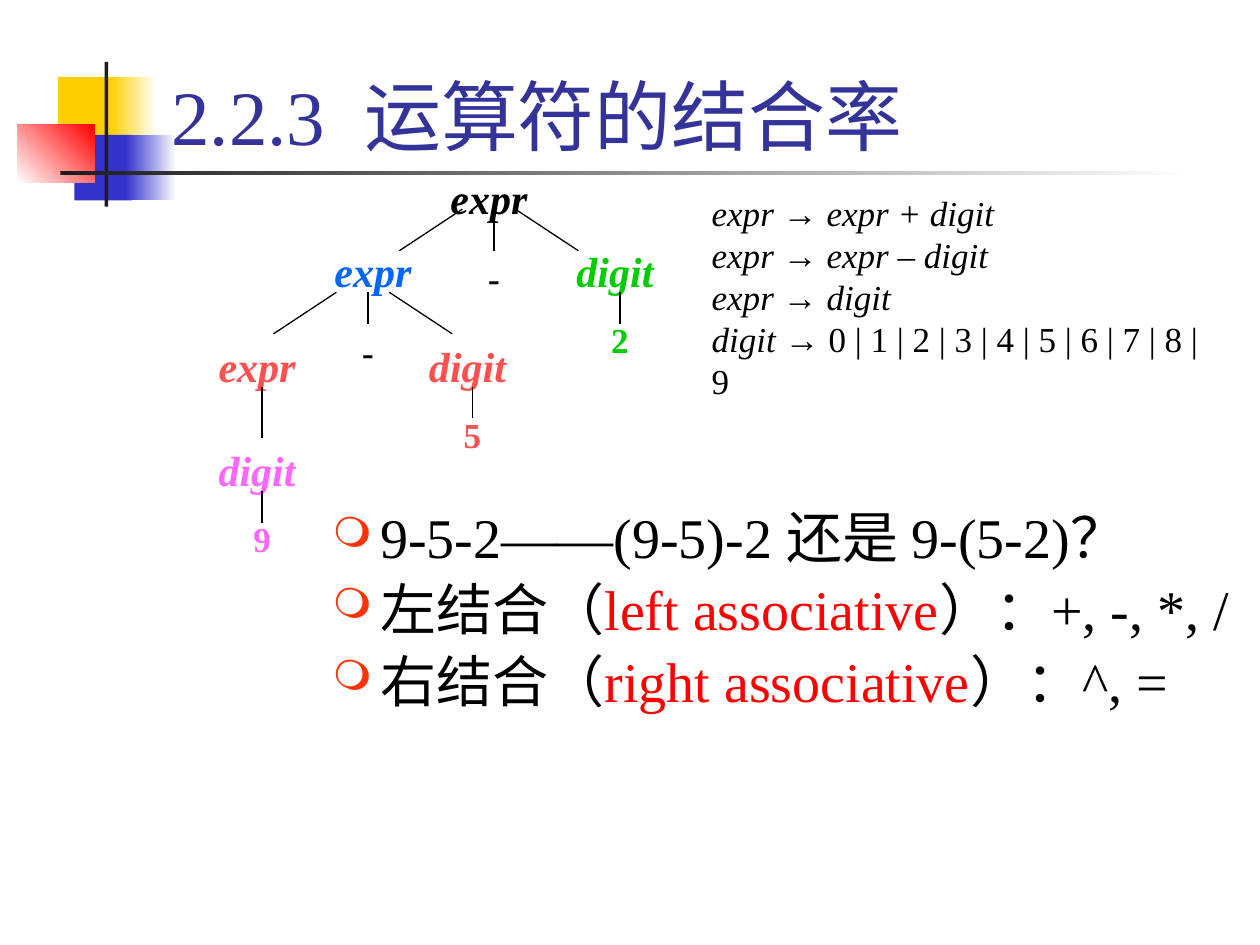
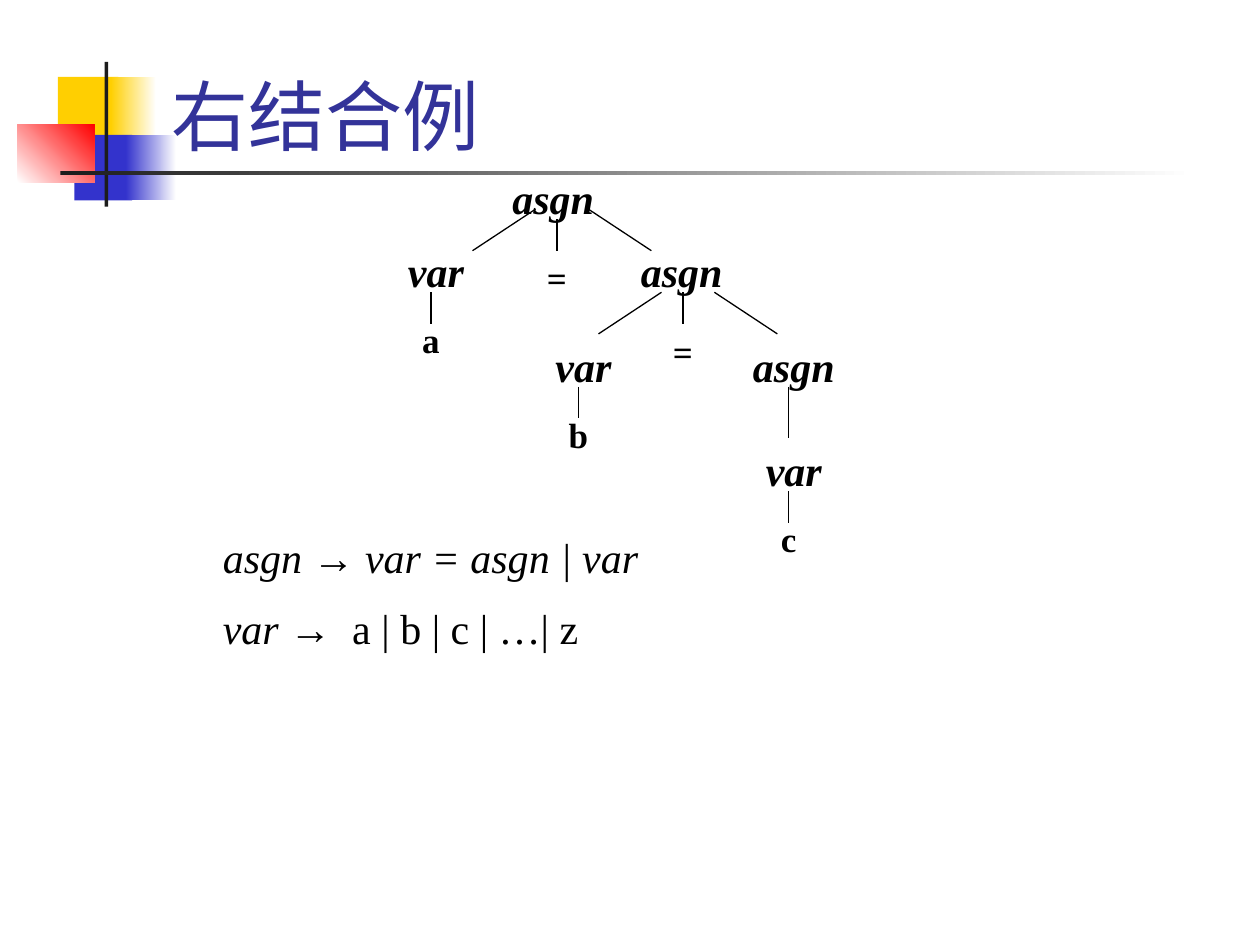
from lxml.etree import SubElement
from pptx import Presentation
from pptx.dml.color import RGBColor
from pptx.enum.dml import MSO_FILL
from pptx.enum.shapes import MSO_CONNECTOR, MSO_SHAPE
from pptx.enum.text import MSO_ANCHOR, MSO_AUTO_SIZE, PP_ALIGN
from pptx.oxml.ns import qn
from pptx.util import Inches, Pt

FONT = "Times New Roman"
HUES = {
    "black": "000000", "white": "FFFFFF", "ink": "1C1C1C", "title": "333399",
    "gold": "FFCF01", "blue": "3333CC", "red": "FF0000", "bullet": "FF3300",
    "sky": "0066FF", "green": "00CC00", "coral": "FF5050", "pink": "FF66FF",
}
# left, top, width, height, colours from start to end, angle
BANDS = [
    (0.46, 0.61, 0.48, 0.52, ["gold"], 0),
    (0.88, 0.61, 0.36, 0.52, ["gold", "white"], 0),
    (0.59, 1.07, 0.46, 0.52, ["blue"], 0),
    (1.0, 1.07, 0.4, 0.52, ["blue", "white"], 0),
    (0.14, 0.99, 0.61, 0.46, ["white", "red"], 45),
    (0.83, 0.49, 0.03, 1.15, ["ink"], 0),
    (0.48, 1.36, 9, 0.03, ["ink", "white"], 0),
]
WORD = {"size": Pt(24), "bold": True, "italic": True}
LEAF = {"size": Pt(20), "bold": True}


def tint(name):
    return RGBColor.from_string(HUES[name])


def style(obj, form):
    for key, value in form.items():
        setattr(obj, key, value)


def write(para, text, hue, form):
    run = para.add_run()
    run.text = text
    style(run.font, {"name": FONT, **form})
    run.font.color.rgb = tint(hue)


def lead(para, percent):
    """Set the space before a paragraph as a percentage of its line."""
    props = para._p.get_or_add_pPr()
    SubElement(SubElement(props, qn("a:spcBef")), qn("a:spcPct"), val=str(percent * 1000))


def frame(slide, box, grow=True):
    shape = slide.shapes.add_textbox(*map(Inches, box))
    fit = MSO_AUTO_SIZE.SHAPE_TO_FIT_TEXT if grow else MSO_AUTO_SIZE.NONE
    style(shape.text_frame, {"word_wrap": True, "auto_size": fit})
    return shape


def label(slide, mid, top, wide, high, text, hue, form):
    """Add a label centred on mid."""
    shape = frame(slide, (mid - wide / 2, top, wide, high))
    para = shape.text_frame.paragraphs[0]
    para.alignment = PP_ALIGN.CENTER
    lead(para, 50)
    write(para, text, hue, form)
    return shape


def line(slide, *ends):
    link = slide.shapes.add_connector(MSO_CONNECTOR.STRAIGHT, *map(Inches, ends))
    link.line.color.rgb = tint("black")
    link.line.width = Pt(0.75)
    SubElement(link.element.spPr, qn("a:effectLst"))
    return link


def paint(fill, hues, angle):
    if len(hues) == 1:
        fill.solid()
        fill.fore_color.rgb = tint(hues[0])
        return
    fill.gradient()
    fill.gradient_angle = angle
    for stop, hue in zip(fill.gradient_stops, hues):
        stop.color.rgb = tint(hue)


def page(deck, text):
    """Add a slide with the shared bands and its title in front of them."""
    slide = deck.slides.add_slide(deck.slide_layouts[5])
    for *box, hues, angle in BANDS:
        band = slide.shapes.add_shape(MSO_SHAPE.RECTANGLE, *map(Inches, box))
        band.shadow.inherit = False
        band.line.fill.background()
        paint(band.fill, hues, angle)
    title = slide.shapes.title
    slide.shapes.element.append(title.element)
    style(title, {"left": Inches(1.26), "top": Inches(0.08),
                  "width": Inches(8.52), "height": Inches(1.25)})
    style(title.text_frame, {"vertical_anchor": MSO_ANCHOR.BOTTOM, "word_wrap": True,
                             "auto_size": MSO_AUTO_SIZE.NONE})
    para = title.text_frame.paragraphs[0]
    para.alignment = PP_ALIGN.LEFT
    write(para, text, "title", {"size": Pt(44), "bold": False})
    return slide


def tree(slide, left, top, side, sign, words, leaves):
    """Draw a parse tree that deepens leftwards (side -1) or rightwards (side 1).

    left is the root's stem, words are (text, colour, nudge) and leaves (text, colour),
    both in the order root, inner, short branch, deep branch, inner short, last.
    """
    # stem offset, word top, stem length, what the stem ends in
    nodes = [
        (0, 0, 0.25, "sign"),
        (1, 0.58, 0.25, "sign"),
        (-1, 0.58, 0.25, "leaf"),
        (0.17, 1.33, 0.25, "leaf"),
        (1.84, 1.33, 0.41, "word"),
        (1.84, 2.16, 0.25, "leaf"),
    ]
    rest = iter(leaves)
    for (out, down, size, kind), (text, hue, nudge) in zip(nodes, words):
        x, y = left + side * out, top + down
        start = y + 0.42
        end = start + size
        label(slide, x + nudge, y, 0.92, 0.5, text, hue, WORD)
        stem = line(slide, x, start, x, end)
        if kind == "leaf":
            label(slide, x, end - 0.09, 0.5, 0.43, *next(rest), LEAF)
        elif kind == "sign":
            mark = label(slide, x, end, 0.5, 0.43, sign, "black", LEAF)
            stem.end_connect(mark, 0)
            high = start if out else start - 0.08
            for way, near in ((side, 0.25), (-side, 0.17)):
                line(slide, x + way * near, high, x + way * (near + 0.5), high + 0.33)


def points(slide, box, items):
    """List items, each made of (text, colour) pieces, with ring bullets."""
    body = frame(slide, box, grow=False).text_frame
    for n, item in enumerate(items):
        para = body.add_paragraph() if n else body.paragraphs[0]
        para.line_spacing = 0.9
        lead(para, 20)
        props = para._p.get_or_add_pPr()
        props.set("marL", str(Inches(0.38)))
        props.set("indent", str(-Inches(0.38)))
        SubElement(SubElement(props, qn("a:buClr")), qn("a:srgbClr"), val=HUES["bullet"])
        SubElement(props, qn("a:buSzPct"), val="75000")
        SubElement(props, qn("a:buChar"), char="❍")
        for text, hue in item:
            write(para, text, hue, {"size": Pt(32)})


def rules(slide, box, size, items, split):
    """Write grammar rules as (head, arrow, body, body is italic).

    Each rule is its own paragraph if split, else a line of one paragraph.
    """
    body = frame(slide, box).text_frame
    para = body.paragraphs[0]
    lead(para, 50)
    for n, (head, arrow, tail, slant) in enumerate(items):
        if n and split:
            para = body.add_paragraph()
            lead(para, 50)
        elif n:
            para.add_line_break()
        for text, italic in ((head, True), (arrow, False), (tail, slant)):
            write(para, text, "black", {"size": Pt(size), "italic": italic})


def left_page(deck):
    slide = page(deck, "2.2.3  运算符的结合率")
    points(slide, (2.54, 4, 7.46, 1.83), [
        [("9-5-2——(9-5)-2 还是 9-(5-2)？", "black")],
        [("左结合（", "black"), ("left associative", "red"), ("）：+, -, *, /", "black")],
        [("右结合（", "black"), ("right associative", "red"), ("）：^, =", "black")],
    ])
    words = [("expr", "black", -0.04), ("expr", "sky", 0.04), ("digit", "green", -0.04),
             ("digit", "coral", -0.04), ("expr", "coral", -0.04), ("digit", "pink", -0.04)]
    tree(slide, 3.92, 1.32, -1, "-", words, [("2", "green"), ("5", "coral"), ("9", "pink")])
    rules(slide, (5.55, 1.47, 4.26, 1.43), 20, [
        ("expr ", "→ ", "expr + digit", True),
        ("expr ", "→ ", "expr – digit", True),
        ("expr ", "→ ", "digit", True),
        ("digit ", "→ ", "0 | 1 | 2 | 3 | 4 | 5 | 6 | 7 | 8 | 9", False),
    ], split=False)


def right_page(deck):
    slide = page(deck, "右结合例")
    names = [("asgn", -0.03), ("asgn", -0.01), ("var", 0.04),
             ("var", 0.04), ("asgn", 0.04), ("var", 0.04)]
    words = [(text, "black", nudge) for text, nudge in names]
    tree(slide, 4.42, 1.32, 1, "=", words, [(text, "black") for text in "abc"])
    rules(slide, (1.67, 4.17, 4.17, 1.1), 24, [
        ("asgn", " → ", "var = asgn | var", True),
        ("var ", "→  ", "a | b | c | …| z", False),
    ], split=True)


def main():
    deck = Presentation()
    style(deck, {"slide_width": Inches(10), "slide_height": Inches(7.5)})
    left_page(deck)
    right_page(deck)
    deck.save("out.pptx")


if __name__ == "__main__":
    main()
